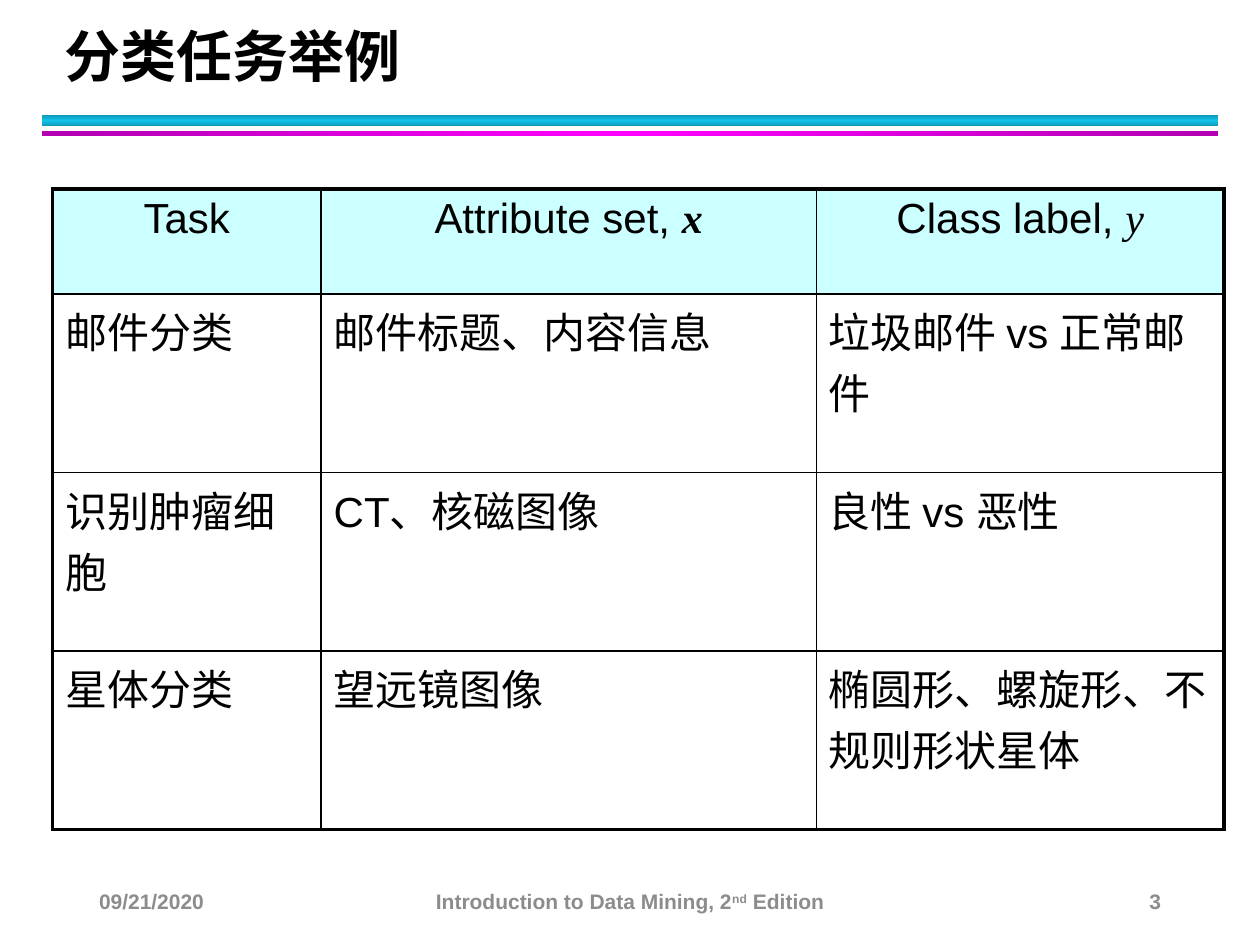
from copy import deepcopy
from dataclasses import dataclass

from lxml import etree
from pptx import Presentation
from pptx.dml.color import RGBColor
from pptx.enum.shapes import MSO_SHAPE
from pptx.enum.text import MSO_ANCHOR, PP_ALIGN
from pptx.oxml.ns import qn
from pptx.util import Pt

RECT = MSO_SHAPE.RECTANGLE
LEFT, CENTER, RIGHT = PP_ALIGN.LEFT, PP_ALIGN.CENTER, PP_ALIGN.RIGHT
MIDDLE, BOTTOM = MSO_ANCHOR.MIDDLE, MSO_ANCHOR.BOTTOM

BLACK = RGBColor(0x00, 0x00, 0x00)
GRAY = RGBColor(0x8C, 0x8C, 0x8C)
HEADER_FILL = RGBColor(0xCC, 0xFF, 0xFF)
TEAL = RGBColor(0x0E, 0x9B, 0xBA)
CYAN = RGBColor(0x12, 0xC2, 0xE9)
PURPLE = RGBColor(0xB2, 0x00, 0xB2)
MAGENTA = RGBColor(0xFF, 0x00, 0xFF)

THIN, THICK = 1, 2.25


@dataclass
class Run:
    text: str
    font: str = "Arial"
    size: float = 24
    color: RGBColor = BLACK
    bold: bool = False
    italic: bool = False
    baseline: int = 0


@dataclass
class Bar:
    top: float
    height: float
    edge: RGBColor
    middle: RGBColor
    angle: int


@dataclass
class Label:
    left: float
    top: float
    width: float
    height: float
    runs: list[Run]
    align: PP_ALIGN = LEFT
    anchor: MSO_ANCHOR = MIDDLE
    line_spacing: float | None = None


def footer_run(text: str, baseline: int = 0) -> Run:
    return Run(text, size=12, color=GRAY, bold=True, baseline=baseline)


BARS = [
    Bar(66, 6, TEAL, CYAN, 90),
    Bar(75, 3, PURPLE, MAGENTA, 0),
]
LABELS = [
    Label(30, 12, 652, 42, [Run("分类任务举例", "Roboto", 32, bold=True)],
          anchor=BOTTOM, line_spacing=36),
    Label(49.5, 500.5, 162, 28.75, [footer_run("09/21/2020")]),
    Label(238.5, 500.5, 243, 28.75,
          [footer_run("Introduction to Data Mining, 2"), footer_run("nd", 30000),
           footer_run(" Edition")], CENTER),
    Label(508.5, 500.5, 162, 28.75, [footer_run("3")], RIGHT),
]

COLUMNS = [153.5, 283, 233]
ROWS = [60, 102, 102, 102]
HEADER = [
    [Run("Task")],
    [Run("Attribute set, "), Run("x", "Times New Roman", bold=True, italic=True)],
    [Run("Class label, "), Run("y", "Times New Roman", italic=True)],
]
BODY = [
    ["邮件分类", "邮件标题、内容信息", "垃圾邮件 vs 正常邮件"],
    ["识别肿瘤细胞", "CT、核磁图像", "良性 vs 恶性"],
    ["星体分类", "望远镜图像", "椭圆形、螺旋形、不规则形状星体"],
]


def add_runs(p, runs: list[Run]) -> None:
    for run in runs:
        r = p.add_run()
        r.text = run.text
        r.font.name = run.font
        r.font.size = Pt(run.size)
        r.font.bold = run.bold
        r.font.italic = run.italic
        r.font.color.rgb = run.color
        if run.baseline:
            r.font._element.set("baseline", str(run.baseline))


def add_bar(s, bar: Bar) -> None:
    sp = s.shapes.add_shape(RECT, Pt(24), Pt(bar.top), Pt(672), Pt(bar.height))
    sp.shadow.inherit = False
    sp.line.fill.background()
    sp.fill.gradient()
    sp.fill.gradient_angle = bar.angle
    stops = sp._element.spPr.find(".//" + qn("a:gsLst"))
    stops.append(deepcopy(stops[0]))
    colors = [bar.edge, bar.middle, bar.edge]
    for i, (stop, color) in enumerate(zip(sp.fill.gradient_stops, colors)):
        stop.position = i / 2
        stop.color.rgb = color


def add_label(s, label: Label) -> None:
    sp = s.shapes.add_textbox(Pt(label.left), Pt(label.top),
                              Pt(label.width), Pt(label.height))
    tf = sp.text_frame
    tf.word_wrap = True
    tf.vertical_anchor = label.anchor
    p = tf.paragraphs[0]
    p.alignment = label.align
    if label.line_spacing:
        p.line_spacing = Pt(label.line_spacing)
    add_runs(p, label.runs)


def set_borders(cell, widths: dict[str, float]) -> None:
    tc_pr = cell._tc.get_or_add_tcPr()
    for i, (side, width) in enumerate(widths.items()):
        ln = etree.Element(qn(f"a:ln{side}"), w=str(Pt(width)))
        fill = etree.SubElement(ln, qn("a:solidFill"))
        etree.SubElement(fill, qn("a:srgbClr"), val=str(BLACK))
        tc_pr.insert(i, ln)


def add_task_table(s) -> None:
    rows = HEADER, *[[[Run(text)] for text in row] for row in BODY]
    last_row, last_col = len(ROWS) - 1, len(COLUMNS) - 1
    table = s.shapes.add_table(len(ROWS), len(COLUMNS), Pt(30), Pt(108),
                               Pt(sum(COLUMNS)), Pt(sum(ROWS))).table
    table.first_row = False
    table.horz_banding = False
    for column, width in zip(table.columns, COLUMNS):
        column.width = Pt(width)
    for i, (row, height) in enumerate(zip(table.rows, ROWS)):
        row.height = Pt(height)
        for j, cell in enumerate(row.cells):
            if i == 0:
                cell.fill.solid()
                cell.fill.fore_color.rgb = HEADER_FILL
            else:
                cell.fill.background()
            p = cell.text_frame.paragraphs[0]
            p.alignment = CENTER if i == 0 else LEFT
            p.space_after = Pt(4)
            add_runs(p, rows[i][j])
            set_borders(cell, {
                "L": THICK if j == 0 else THIN,
                "R": THICK if j == last_col else THIN,
                "T": THICK if i == 0 else THIN,
                "B": THICK if i == last_row else THIN,
            })


def main() -> None:
    prs = Presentation()
    prs.slide_width, prs.slide_height = Pt(720), Pt(540)
    s = prs.slides.add_slide(prs.slide_layouts[6])
    for bar in BARS:
        add_bar(s, bar)
    add_task_table(s)
    for label in LABELS:
        add_label(s, label)
    prs.save("out.pptx")


if __name__ == "__main__":
    main()
